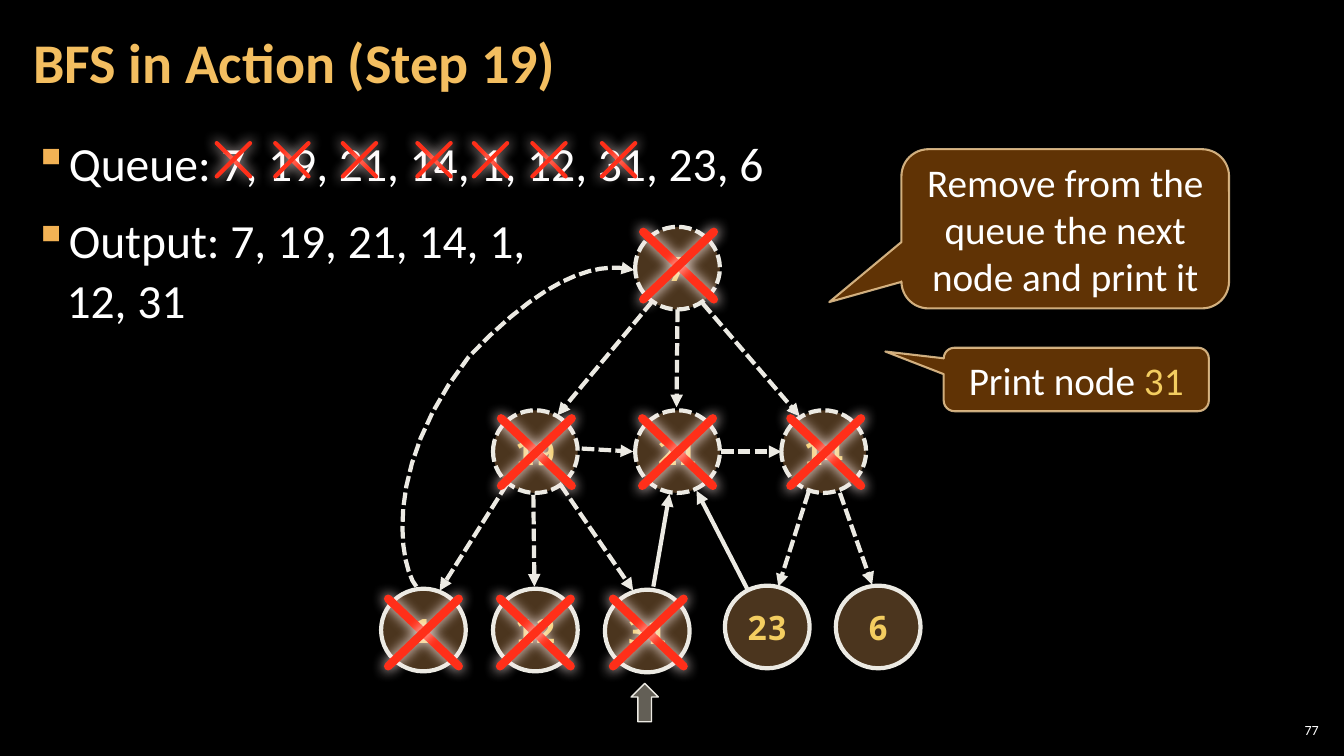
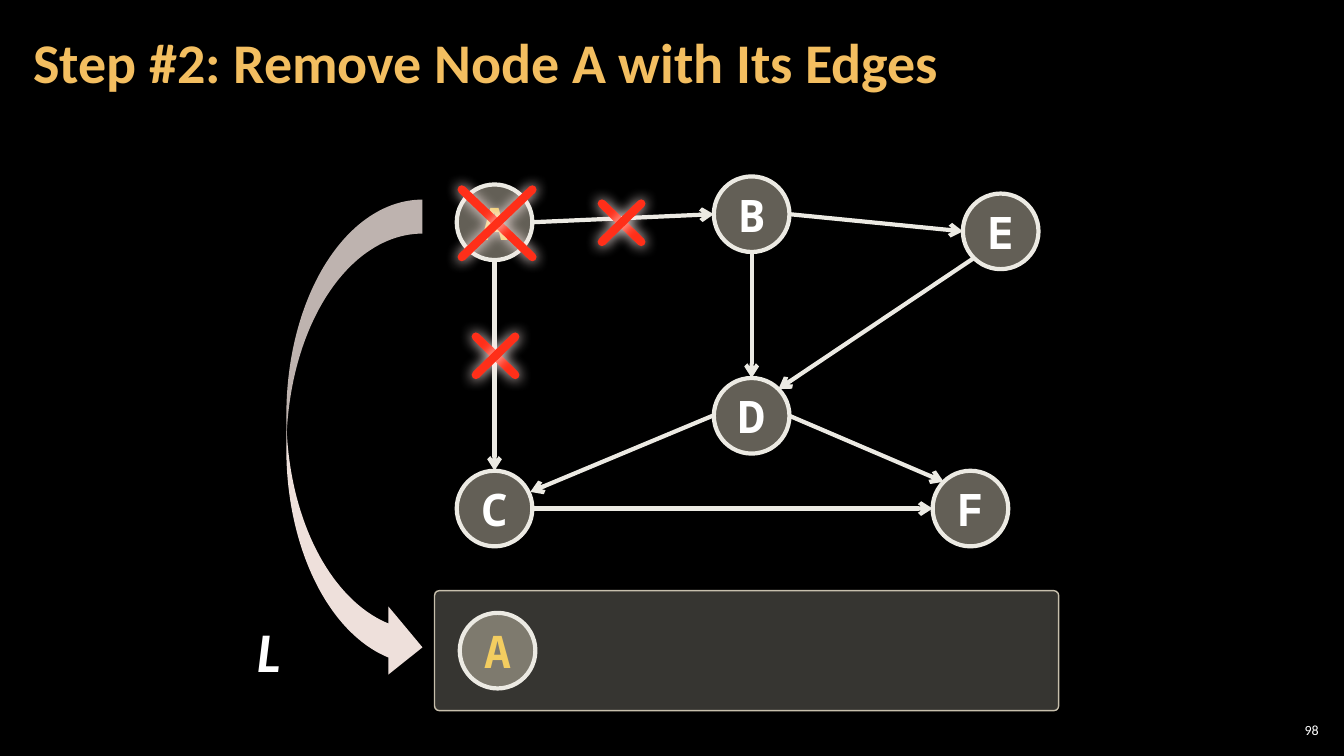
"""Build two graph slides: a breadth-first search step and a node removal step."""
from dataclasses import dataclass

from lxml.etree import SubElement
from pptx import Presentation
from pptx.dml.color import RGBColor
from pptx.enum.dml import MSO_LINE
from pptx.enum.shapes import MSO_CONNECTOR, MSO_SHAPE
from pptx.enum.text import MSO_ANCHOR, PP_ALIGN
from pptx.oxml.ns import qn
from pptx.util import Inches, Pt


@dataclass(frozen=True)
class Theme:
    background: str = "000000"
    text: str = "FFFFFF"
    title: str = "F3BE60"
    bullet: str = "F2B254"
    highlight: str = "F3CD60"
    edge: str = "ECEAE3"
    cross: str = "FF2F19"
    cross_glow: str = "FFEDEB"
    tree_node: str = "6C4C2C"
    stone: str = "C7BFAC"
    tray: str = "D9D5C7"
    callout: str = "663606"
    callout_line: str = "F8D49E"
    curved_arrow: str = "EEE0DB"
    font: str = "Calibri"
    node_font: str = "Noto Sans Mono"
    title_size: int = 40
    body_size: int = 34
    graph_size: int = 32
    callout_size: int = 28
    tree_size: int = 24
    number_size: int = 10


theme = Theme()


def draw_line(shapes, points, colour=theme.edge, width=3, dashed=False, tail=None, glow=None):
    points = [(Inches(x), Inches(y)) for x, y in points]
    if len(points) == 2:
        line_shape = shapes.add_connector(MSO_CONNECTOR.STRAIGHT, *points[0], *points[1])
    else:
        builder = shapes.build_freeform(*points[0], scale=1.0)
        builder.add_line_segments(points[1:], close=False)
        line_shape = builder.convert_to_shape()
        line_shape.fill.background()
    line_shape.line.color.rgb = RGBColor.from_string(colour)
    line_shape.line.width = Pt(width)
    if dashed:
        line_shape.line.dash_style = MSO_LINE.SQUARE_DOT
    properties = line_shape._element.spPr
    outline = properties.find(qn("a:ln"))
    if tail:
        SubElement(outline, qn("a:tailEnd"), type=tail)
    effects = SubElement(properties, qn("a:effectLst"))
    if glow:
        outline.set("cap", "rnd")
        shadow = SubElement(effects, qn("a:outerShdw"), blurRad=str(Pt(10)), dist="0", algn="ctr")
        SubElement(shadow, qn("a:srgbClr"), val=glow)
    return line_shape


def draw_shape(slide, kind, box, fill, line=None, width=1, alphas=(100, 100), text="",
               size=theme.callout_size, colour=theme.text, font=theme.font, bold=False,
               wrap=True, adjustments=()):
    shape = slide.shapes.add_shape(kind, *map(Inches, box))
    shape.shadow.inherit = False
    for index, value in enumerate(adjustments):
        shape.adjustments[index] = value
    shape.fill.solid()
    shape.fill.fore_color.rgb = RGBColor.from_string(fill)
    if line:
        shape.line.color.rgb = RGBColor.from_string(line)
        shape.line.width = Pt(width)
    else:
        shape.line.fill.background()
    for colour_element, alpha in zip(shape._element.spPr.xpath(".//a:srgbClr"), alphas):
        if alpha < 100:
            SubElement(colour_element, qn("a:alpha"), val=str(alpha * 1000))
    if text:
        frame = shape.text_frame
        frame.word_wrap = wrap
        frame.vertical_anchor = MSO_ANCHOR.MIDDLE
        frame.text = text
        paragraph = frame.paragraphs[0]
        paragraph.alignment = PP_ALIGN.CENTER
        paragraph.font.name = font
        paragraph.font.size = Pt(size)
        paragraph.font.bold = bold
        paragraph.font.color.rgb = RGBColor.from_string(colour)
    return shape


presentation = Presentation()
presentation.slide_width = Inches(13.33)
presentation.slide_height = Inches(7.5)

slides = []
for title, number in [("BFS in Action (Step 19)", "77"),
                      ("Step #2: Remove Node A with Its Edges", "98")]:
    slide = presentation.slides.add_slide(presentation.slide_layouts[6])
    slide.background.fill.solid()
    slide.background.fill.fore_color.rgb = RGBColor.from_string(theme.background)
    for text, box, margin, size, colour, bold, alignment in [
        (title, (0.21, 0.04, 10.47, 1.21), 0.12, theme.title_size, theme.title, True, PP_ALIGN.LEFT),
        (number, (12.65, 7.14, 0.47, 0.21), 0.04, theme.number_size, theme.text, False, PP_ALIGN.RIGHT),
    ]:
        frame = slide.shapes.add_textbox(*map(Inches, box)).text_frame
        frame.word_wrap = True
        frame.vertical_anchor = MSO_ANCHOR.MIDDLE
        frame.margin_left = frame.margin_right = Inches(margin)
        frame.margin_top = frame.margin_bottom = Inches(0.04)
        frame.text = text
        paragraph = frame.paragraphs[0]
        paragraph.alignment = alignment
        paragraph.line_spacing = 0.9 if bold else 1.0
        paragraph.font.name = theme.font
        paragraph.font.size = Pt(size)
        paragraph.font.bold = bold
        paragraph.font.color.rgb = RGBColor.from_string(colour)
    slides.append(slide)
search_slide, removal_slide = slides

body_frame = search_slide.shapes.add_textbox(
    Inches(0.21), Inches(1.26), Inches(12.91), Inches(6.09)).text_frame
body_frame.word_wrap = True
body_frame.margin_left = body_frame.margin_right = Inches(0.12)
body_frame.margin_top = body_frame.margin_bottom = Inches(0.04)
body_frame.text = "Queue: 7, 19, 21, 14, 1, 12, 31, 23, 6\nOutput: 7, 19, 21, 14, 1,\v12, 31"
for index, paragraph in enumerate(body_frame.paragraphs):
    properties = paragraph._p.get_or_add_pPr()
    properties.set("marL", str(Inches(0.33)))
    properties.set("indent", str(-Inches(0.33)))
    bullet_colour = SubElement(properties, qn("a:buClr"))
    SubElement(bullet_colour, qn("a:srgbClr"), val=theme.bullet)
    SubElement(properties, qn("a:buChar"), char="▪")
    paragraph.line_spacing = 1.05
    paragraph.space_before = Pt(6 if index else 0)
    paragraph.space_after = Pt(6)
    paragraph.font.name = theme.font
    paragraph.font.size = Pt(theme.body_size)
    paragraph.font.color.rgb = RGBColor.from_string(theme.text)

draw_shape(search_slide, MSO_SHAPE.UP_ARROW, (6.26, 6.78, 0.27, 0.38), theme.stone,
           theme.edge, alphas=(50, 100))

for text, highlighted, box, adjustments in [
    ("Remove from the queue the next node and print it", "",
     (8.94, 1.48, 3.25, 1.58), (-0.72, 0.46, 0.17)),
    ("Print node ", "31", (9.36, 3.45, 2.63, 0.63), (-0.72, -0.44, 0.17)),
]:
    callout = draw_shape(search_slide, MSO_SHAPE.ROUNDED_RECTANGULAR_CALLOUT, box, theme.callout,
                         theme.callout_line, 1.5, (95, 80), text, adjustments=adjustments)
    if highlighted:
        run = callout.text_frame.paragraphs[0].add_run()
        run.text = highlighted
        run.font.color.rgb = RGBColor.from_string(theme.highlight)

for text, left, top, dashed in [
    ("7", 6.3, 2.25, True),
    ("19", 4.89, 4.07, True), ("21", 6.3, 4.07, True), ("14", 7.75, 4.07, True),
    ("1", 3.78, 5.84, False), ("12", 4.89, 5.84, False), ("31", 6, 5.85, False),
    ("23", 7.19, 5.81, False), ("6", 8.29, 5.81, False),
]:
    node = draw_shape(search_slide, MSO_SHAPE.OVAL, (left, top, 0.84, 0.82), theme.tree_node,
                      theme.edge, 3, (70, 100), text, theme.tree_size, theme.highlight,
                      theme.node_font, True, wrap=False)
    if dashed:
        node.line.dash_style = MSO_LINE.SQUARE_DOT

curves = [((4.13, 5.82), (3.98, 5.65), (3.76, 4.67), (4.65, 3.54)),
          ((4.65, 3.54), (5.54, 2.6), (6.04, 2.62), (6.29, 2.68))]
steps = 12
back_edge = [curves[0][0]]
for start, control_1, control_2, end in curves:
    for step in range(1, steps + 1):
        t = step / steps
        weights = ((1 - t) ** 3, 3 * t * (1 - t) ** 2, 3 * t ** 2 * (1 - t), t ** 3)
        back_edge.append(tuple(
            sum(weight * value for weight, value in zip(weights, values))
            for values in zip(start, control_1, control_2, end)))

visited_edges = [
    back_edge,
    [(6.47, 2.99), (5.53, 4.12)], [(6.72, 3.07), (6.71, 4.04)], [(6.97, 3.01), (7.93, 4.13)],
    [(5.77, 4.45), (6.28, 4.48)], [(7.15, 4.48), (7.75, 4.48)],
    [(5.03, 4.8), (4.36, 5.86)], [(5.29, 4.91), (5.3, 5.82)], [(5.56, 4.81), (6.28, 5.86)],
    [(8.02, 4.88), (7.72, 5.82)], [(8.33, 4.89), (8.65, 5.8)],
]
open_edges = [[(6.48, 5.82), (6.64, 4.9)], [(7.41, 5.84), (6.91, 4.87)]]
for edges, dashed in [(visited_edges, True), (open_edges, False)]:
    for points in edges:
        draw_line(search_slide.shapes, points, dashed=dashed, tail="triangle")

draw_shape(removal_slide, MSO_SHAPE.ROUNDED_RECTANGLE, (4.31, 5.86, 6.19, 1.19), theme.tray,
           theme.stone, alphas=(25, 100), adjustments=(0.04,))
draw_shape(removal_slide, MSO_SHAPE.CURVED_RIGHT_ARROW, (2.84, 1.98, 1.35, 4.78),
           theme.curved_arrow)

diameter = 0.75
graph_nodes = {}
for name, left, top in [("A", 4.53, 1.83), ("B", 7.08, 1.75), ("C", 4.53, 4.67), ("D", 7.08, 3.75),
                        ("E", 9.55, 1.92), ("F", 9.25, 4.67), ("A", 4.56, 6.08)]:
    node = draw_shape(removal_slide, MSO_SHAPE.OVAL, (left, top, diameter, diameter), theme.stone,
                      theme.edge, 3, (50, 100), name, theme.graph_size,
                      theme.highlight if name == "A" else theme.text, theme.node_font, True,
                      wrap=False)
    graph_nodes.setdefault(name, (node, left + diameter / 2, top + diameter / 2))

radius = diameter / 2
diagonal = radius * 0.5 ** 0.5
oval_sites = [(0, -radius), (-diagonal, -diagonal), (-radius, 0), (-diagonal, diagonal),
              (0, radius), (diagonal, diagonal), (radius, 0), (diagonal, -diagonal)]
for source, source_site, target, target_site in [
    ("A", 6, "B", 2), ("A", 4, "C", 0), ("B", 4, "D", 0), ("B", 6, "E", 2),
    ("C", 6, "F", 2), ("D", 6, "F", 1), ("E", 3, "D", 7),
]:
    ends = [("a:stCxn", source, source_site), ("a:endCxn", target, target_site)]
    points = [(graph_nodes[name][1] + oval_sites[site][0], graph_nodes[name][2] + oval_sites[site][1])
              for _, name, site in ends]
    edge = draw_line(removal_slide.shapes, points, tail="arrow")
    for tag, name, site in ends:
        SubElement(edge._element.nvCxnSpPr.cNvCxnSpPr, qn(tag),
                   id=str(graph_nodes[name][0].shape_id), idx=str(site))
draw_line(removal_slide.shapes, [(7.08, 4.12), (5.26, 4.88)], tail="arrow")

list_frame = removal_slide.shapes.add_textbox(
    Inches(2.25), Inches(6.08), Inches(0.83), Inches(0.74)).text_frame
list_frame.word_wrap = True
list_frame.vertical_anchor = MSO_ANCHOR.MIDDLE
list_frame.text = "L"
paragraph = list_frame.paragraphs[0]
paragraph.alignment = PP_ALIGN.CENTER
paragraph.font.name = theme.font
paragraph.font.size = Pt(theme.title_size)
paragraph.font.bold = True
paragraph.font.italic = True
paragraph.font.color.rgb = RGBColor.from_string(theme.text)

queue_crosses = [(left, 1.42) for left in (2.15, 2.73, 3.4, 4.14, 4.7, 5.28, 5.97)]
node_crosses = [(6.38, 2.3), (4.97, 4.15), (6.37, 4.15), (7.84, 4.15),
                (3.85, 5.94), (4.96, 5.94), (6.08, 5.94)]
for slide, corners, width, height, thickness in [
    (search_slide, queue_crosses, 0.33, 0.33, 3),
    (search_slide, node_crosses, 0.7, 0.67, 6),
    (removal_slide, [(4.58, 1.88)], 0.7, 0.67, 6),
    (removal_slide, [(5.97, 2.02), (4.72, 3.34)], 0.39, 0.38, 6),
]:
    for left, top in corners:
        right, bottom = left + width, top + height
        cross = slide.shapes.add_group_shape()
        for points in ([(left, top), (right, bottom)], [(right, top), (left, bottom)]):
            draw_line(cross.shapes, points, theme.cross, thickness, glow=theme.cross_glow)

presentation.save("out.pptx")
